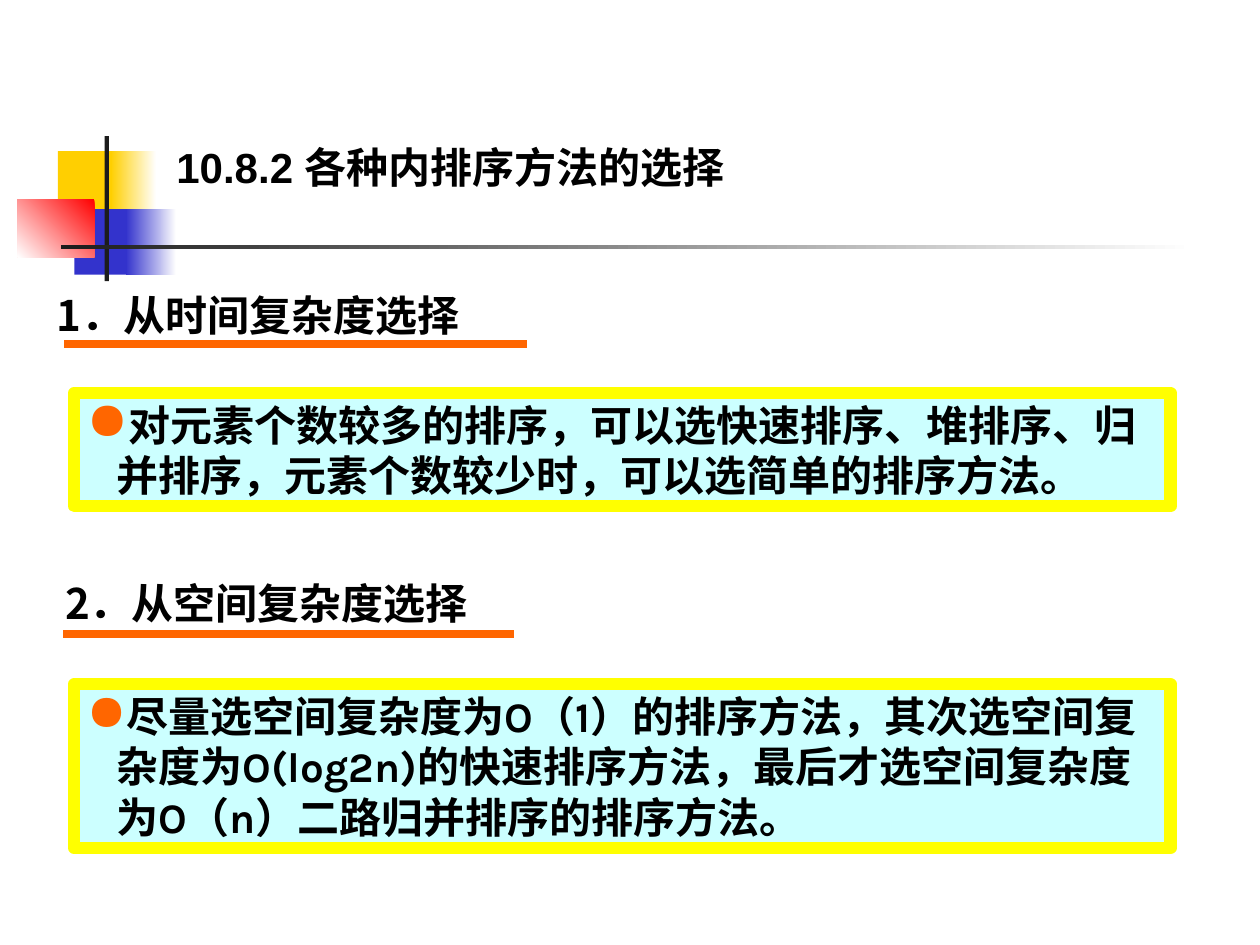
from lxml.etree import SubElement
from pptx import Presentation
from pptx.dml.color import RGBColor
from pptx.enum.shapes import MSO_CONNECTOR, MSO_SHAPE
from pptx.enum.text import MSO_ANCHOR, MSO_AUTO_SIZE, PP_ALIGN
from pptx.oxml.ns import qn
from pptx.util import Pt

COLORS = {
    "yellow": "FFCF01", "blue": "3333CC", "red": "FF0000", "dark": "1C1C1C",
    "white": "FFFFFF", "text": "000000", "accent": "FF6600",
    "panel": "CCFFFF", "border": "FFFF00",
}
HEADING_FONT = "Noto Sans CJK SC"
BODY_FONT = "Karla"
TITLE_FONT = "Arial"


def color(name):
    return RGBColor.from_string(COLORS[name])


class SlideBuilder:
    """Holds the text style and the slide being built."""

    def __init__(self, slide, size=24, bullet_indent=17):
        self.slide = slide
        self.size = size
        self.bullet_indent = bullet_indent

    def rectangle(self, left, top, width, height, fill):
        shape = self.slide.shapes.add_shape(
            MSO_SHAPE.RECTANGLE, Pt(left), Pt(top), Pt(width), Pt(height))
        shape.shadow.inherit = False
        shape.line.fill.background()
        shape.fill.solid()
        shape.fill.fore_color.rgb = color(fill)
        return shape

    def gradient(self, left, top, width, height, start, end, angle=180):
        shape = self.rectangle(left, top, width, height, start)
        shape.fill.gradient()
        shape.fill.gradient_angle = angle
        for stop, name in zip(shape.fill.gradient_stops, (start, end)):
            stop.color.rgb = color(name)

    def fill_text(self, shape, text, font, align):
        frame = shape.text_frame
        frame.text = text
        frame.word_wrap = True
        frame.auto_size = MSO_AUTO_SIZE.NONE
        frame.vertical_anchor = MSO_ANCHOR.TOP
        paragraph = frame.paragraphs[0]
        paragraph.alignment = align
        run_font = paragraph.runs[0].font
        run_font.name = font
        run_font.size = Pt(self.size)
        run_font.bold = True
        run_font.color.rgb = color("text")
        return paragraph

    def title(self, left, top, width, height, text):
        shape = self.slide.shapes.title
        shape.left, shape.top = Pt(left), Pt(top)
        shape.width, shape.height = Pt(width), Pt(height)
        self.fill_text(shape, text, TITLE_FONT, PP_ALIGN.JUSTIFY)

    def heading(self, left, top, width, text):
        shape = self.slide.shapes.add_textbox(Pt(left), Pt(top), Pt(width), Pt(36))
        self.fill_text(shape, text, HEADING_FONT, PP_ALIGN.JUSTIFY)

    def underline(self, left, right, top):
        line = self.slide.shapes.add_connector(
            MSO_CONNECTOR.STRAIGHT, Pt(left), Pt(top), Pt(right), Pt(top))
        line.line.color.rgb = color("accent")
        line.line.width = Pt(4.5)
        SubElement(line.element.spPr, qn("a:effectLst"))

    def bullet_panel(self, top, height, text, bullet_percent):
        shape = self.rectangle(42.5, top, 626.4, height, "panel")
        shape.line.color.rgb = color("border")
        shape.line.width = Pt(7)
        paragraph = self.fill_text(shape, text, BODY_FONT, PP_ALIGN.LEFT)
        properties = paragraph._p.get_or_add_pPr()
        properties.set("marL", str(Pt(self.bullet_indent)))
        properties.set("indent", str(-Pt(self.bullet_indent)))
        bullet_color = SubElement(properties, qn("a:buClr"))
        SubElement(bullet_color, qn("a:srgbClr"), val=COLORS["accent"])
        SubElement(properties, qn("a:buSzPct"), val=str(bullet_percent * 1000))
        SubElement(properties, qn("a:buChar"), char="●")


def draw_ornament(builder):
    builder.rectangle(33.1, 86.4, 34.6, 37.4, "yellow")
    builder.gradient(63.4, 86.4, 25.9, 37.4, "white", "yellow")
    builder.rectangle(42.5, 119.5, 33.1, 37.4, "blue")
    builder.gradient(72, 119.5, 28.8, 37.4, "white", "blue")
    builder.gradient(10, 113.8, 44, 33.1, "red", "white", angle=225)
    builder.rectangle(59.8, 77.8, 2.5, 82.8, "dark")
    builder.gradient(34.6, 140, 648, 2.5, "white", "dark")


def main():
    presentation = Presentation()
    presentation.slide_width, presentation.slide_height = Pt(720), Pt(540)
    builder = SlideBuilder(presentation.slides.add_slide(presentation.slide_layouts[5]))

    draw_ornament(builder)
    builder.title(93.6, 77, 570.2, 79.9, "10.8.2 各种内排序方法的选择")

    builder.heading(25.2, 162, 660.2, "1．从时间复杂度选择")
    builder.underline(36.7, 301, 196.6)
    builder.bullet_panel(
        224.6, 64.8,
        "对元素个数较多的排序，可以选快速排序、堆排序、归并排序，"
        "元素个数较少时，可以选简单的排序方法。", 125)

    builder.heading(30.2, 326.2, 648, "2．从空间复杂度选择")
    builder.underline(36, 293.8, 362.2)
    builder.bullet_panel(
        391, 93.6,
        "尽量选空间复杂度为O（1）的排序方法，其次选空间复杂度为O(log2n)的快速排序方法，"
        "最后才选空间复杂度为O（n）二路归并排序的排序方法。", 120)

    presentation.save("out.pptx")


if __name__ == "__main__":
    main()
